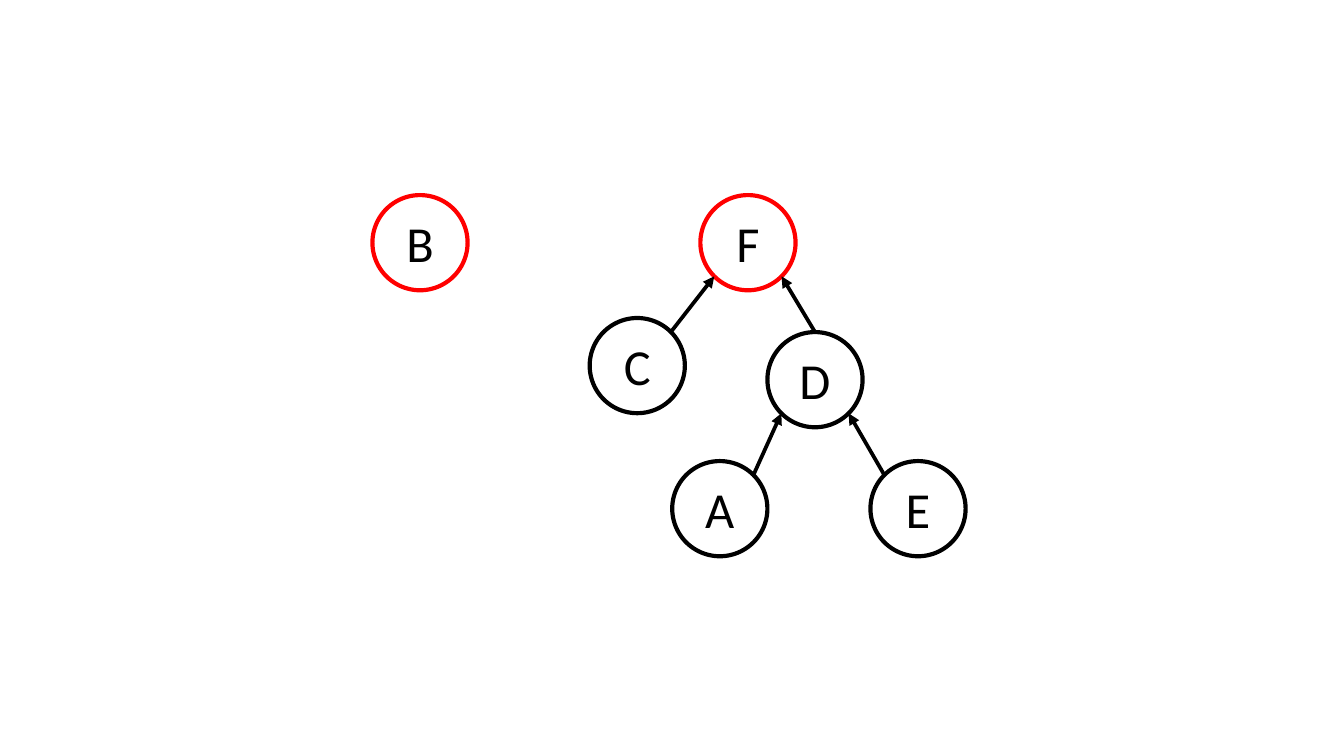
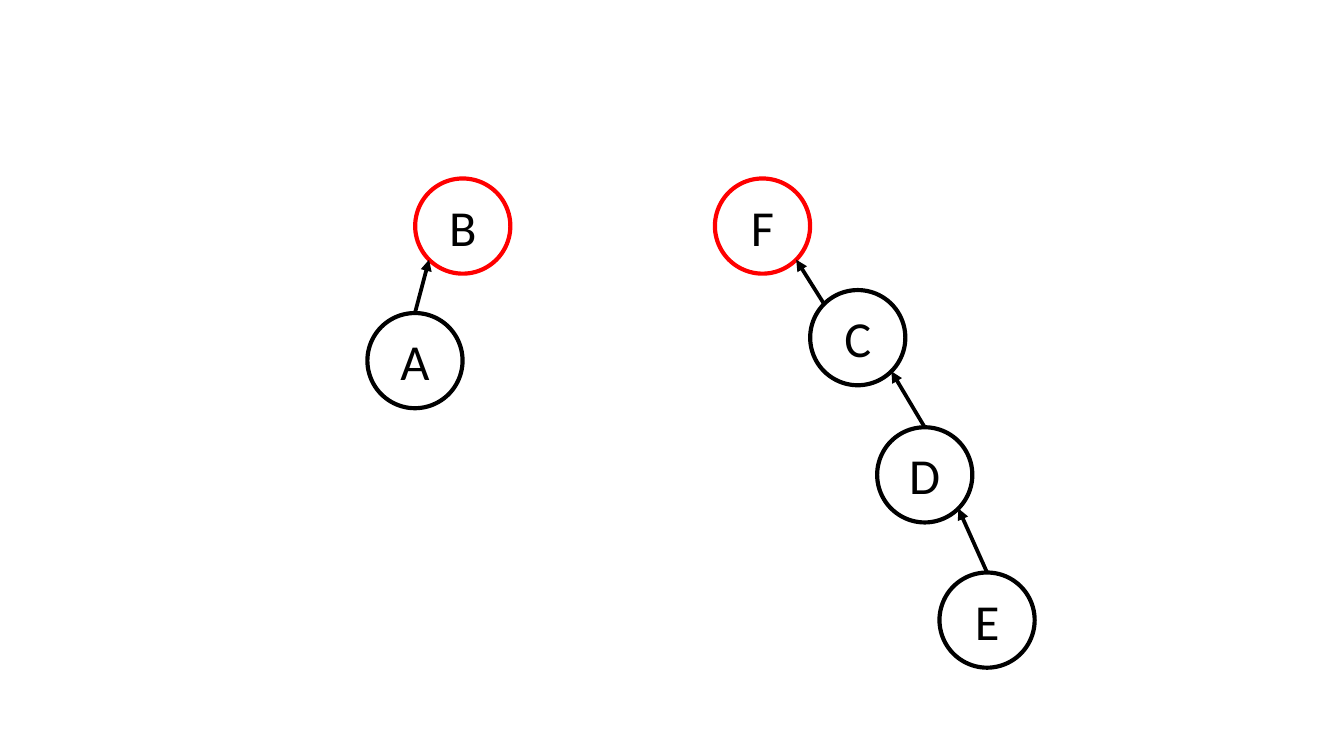
import math

import lxml.etree
import pptx
import pptx.dml.color
import pptx.enum.shapes
import pptx.enum.text
import pptx.oxml.ns
import pptx.util

Pt = pptx.util.Pt
qn = pptx.oxml.ns.qn

# Shared style
BLACK = pptx.dml.color.RGBColor(0x00, 0x00, 0x00)
RED = pptx.dml.color.RGBColor(0xFF, 0x00, 0x00)
FONT = "Calibri"
NODE_SIZE = 51
NODE_LINE = 2.25
ARROW_LINE = 2

# Connection sites of an ellipse, numbered counterclockwise from the top
TOP, TOP_LEFT, BOTTOM_LEFT, BOTTOM_RIGHT, TOP_RIGHT = 0, 1, 3, 5, 7

# Each forest: nodes as name: (left, top), edges as (child, site, parent, site)
FORESTS = [
    {
        "roots": "BF",
        "nodes": {
            "C": (315.9, 170.4), "B": (199.5, 104.5), "A": (360.1, 247),
            "E": (466.3, 247), "D": (411.1, 177.9), "F": (375.2, 104.5),
        },
        "edges": [
            ("C", TOP_RIGHT, "F", BOTTOM_LEFT),
            ("D", TOP, "F", BOTTOM_RIGHT),
            ("A", TOP_RIGHT, "D", BOTTOM_LEFT),
            ("E", TOP_LEFT, "D", BOTTOM_RIGHT),
        ],
    },
    {
        "roots": "BF",
        "nodes": {
            "A": (196.8, 167.7), "B": (222.4, 95.6), "C": (434, 155.4),
            "D": (469.9, 228.9), "E": (503.3, 306.7), "F": (383, 95.6),
        },
        "edges": [
            ("A", TOP, "B", BOTTOM_LEFT),
            ("D", TOP, "C", BOTTOM_RIGHT),
            ("E", TOP, "D", BOTTOM_RIGHT),
            ("C", TOP_LEFT, "F", BOTTOM_RIGHT),
        ],
    },
]


def set_page(prs, width, height):
    """Set the slide size, fit the master to it and keep the blank layout only."""
    scale_x, scale_y = width / prs.slide_width, height / prs.slide_height
    prs.slide_width, prs.slide_height = width, height
    for sp in prs.slide_master.placeholders:
        sp.left, sp.width = round(sp.left * scale_x), round(sp.width * scale_x)
        sp.top, sp.height = round(sp.top * scale_y), round(sp.height * scale_y)
    blank = prs.slide_layouts[6]
    for layout in list(prs.slide_layouts):
        if layout.name != blank.name:
            prs.slide_layouts.remove(layout)


def put_text(sp, text, size=27, color=BLACK, font=FONT,
             align=pptx.enum.text.PP_ALIGN.CENTER):
    """Write one formatted line in the middle of a shape."""
    tf = sp.text_frame
    tf.vertical_anchor = pptx.enum.text.MSO_ANCHOR.MIDDLE
    tf.margin_left = tf.margin_right = Pt(5.4)
    tf.margin_top = tf.margin_bottom = Pt(2.7)
    p = tf.paragraphs[0]
    p.alignment = align
    r = p.add_run()
    r.text = text
    r.font.name = font
    r.font.size = Pt(size)
    r.font.color.rgb = color


def add_node(s, name, left, top, color):
    """Draw one outlined circle with its letter."""
    sp = s.shapes.add_shape(pptx.enum.shapes.MSO_SHAPE.OVAL, Pt(left), Pt(top),
                            Pt(NODE_SIZE), Pt(NODE_SIZE))
    sp.shadow.inherit = False
    sp.fill.background()
    sp.line.color.rgb = color
    sp.line.width = Pt(NODE_LINE)
    put_text(sp, name)
    return sp


def site_point(sp, site):
    """Return the place of a connection site on a circle."""
    angle = math.radians(45 * site)
    radius = sp.width / 2
    return (round(sp.left + radius * (1 - math.sin(angle))),
            round(sp.top + radius * (1 - math.cos(angle))))


def add_arrow(s, child, child_site, parent, parent_site):
    """Join a child to its parent with an arrow glued at both ends."""
    cxn = s.shapes.add_connector(pptx.enum.shapes.MSO_CONNECTOR.STRAIGHT,
                                 *site_point(child, child_site),
                                 *site_point(parent, parent_site))
    cxn.line.color.rgb = BLACK
    cxn.line.width = Pt(ARROW_LINE)
    el = cxn._element
    # Arrowhead, then an empty effect list against the shadow
    lxml.etree.SubElement(el.spPr.find(qn("a:ln")), qn("a:tailEnd"), type="triangle")
    lxml.etree.SubElement(el.spPr, qn("a:effectLst"))
    # Glue
    props = el.find(qn("p:nvCxnSpPr")).find(qn("p:cNvCxnSpPr"))
    for tag, sp, site in (("a:stCxn", child, child_site),
                          ("a:endCxn", parent, parent_site)):
        lxml.etree.SubElement(props, qn(tag), id=str(sp.shape_id), idx=str(site))


def add_forest(prs, forest):
    """Build one slide with a forest of nodes and parent arrows."""
    s = prs.slides.add_slide(prs.slide_layouts[0])
    nodes = {}
    for name, (left, top) in forest["nodes"].items():
        color = RED if name in forest["roots"] else BLACK
        nodes[name] = add_node(s, name, left, top, color)
    for child, child_site, parent, parent_site in forest["edges"]:
        add_arrow(s, nodes[child], child_site, nodes[parent], parent_site)


def main():
    prs = pptx.Presentation()
    set_page(prs, Pt(720), Pt(405))
    for forest in FORESTS:
        add_forest(prs, forest)
    prs.save("out.pptx")


main()
